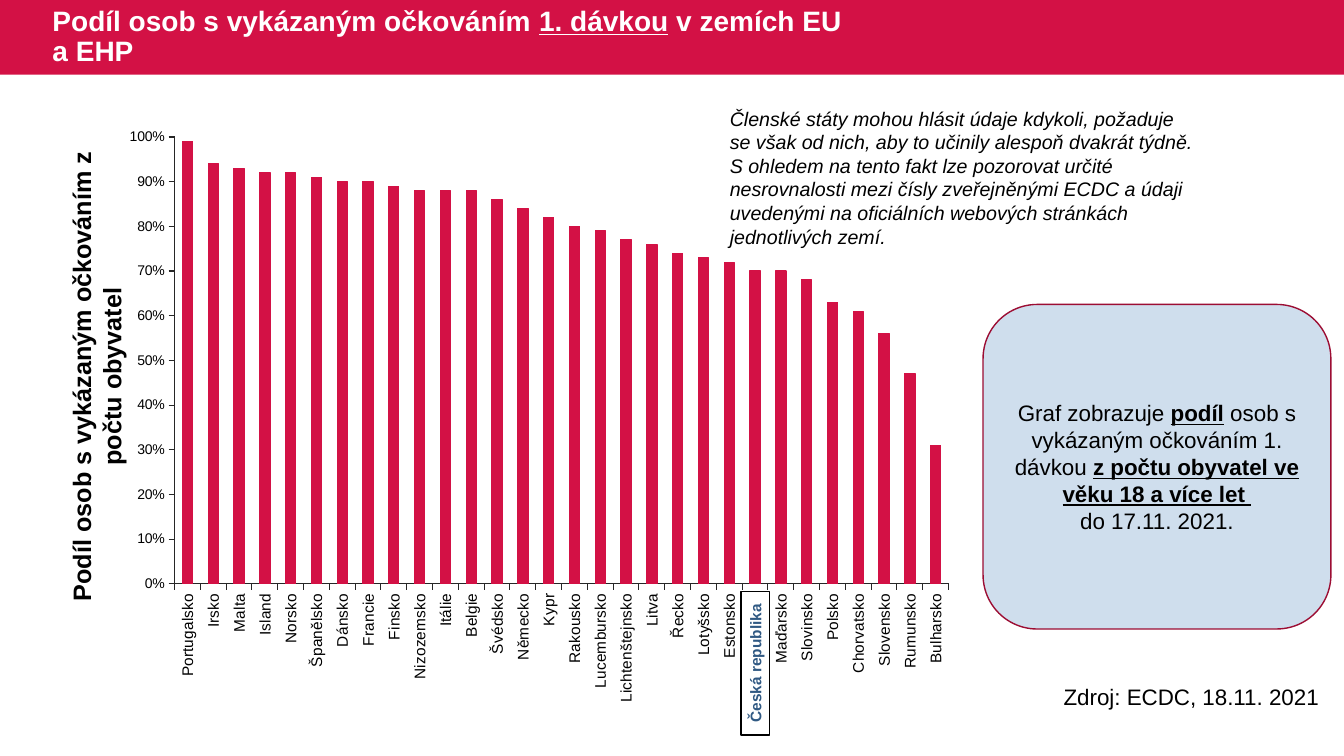
from lxml import etree
from pptx import Presentation
from pptx.chart.data import CategoryChartData
from pptx.dml.color import RGBColor
from pptx.enum.chart import XL_CHART_TYPE as ChartType, XL_TICK_MARK as Tick
from pptx.enum.shapes import MSO_SHAPE as Shape
from pptx.enum.text import MSO_ANCHOR as Anchor, MSO_AUTO_SIZE as AutoSize, PP_ALIGN as Align
from pptx.oxml.ns import qn
from pptx.util import Inches, Pt

# Content: paragraphs are lists of (text, emphasis), b = bold, u = underline
TITLE = [[("Podíl osob s vykázaným očkováním ", ""), ("1. dávkou", "u"),
          (" v zemích EU a EHP", "")]]
AXIS_TITLE = [[("Podíl osob s vykázaným očkováním z počtu obyvatel", "")]]
CALLOUT = [
    [("Graf zobrazuje ", ""), ("podíl", "bu"),
     (" osob s vykázaným očkováním 1. dávkou ", ""),
     ("z počtu obyvatel ve věku 18 a více let ", "bu")],
    [("do 17.11. 2021.", "")],
]
HIGHLIGHT = [[("Česká republika", "")]]
SOURCE = [[("Zdroj: ECDC, 18.11. 2021", "")]]
NOTE = [[(
    "Členské státy mohou hlásit údaje kdykoli, požaduje se však od nich, "
    "aby to učinily alespoň dvakrát týdně. S ohledem na tento fakt lze pozorovat "
    "určité nesrovnalosti mezi čísly zveřejněnými ECDC a údaji uvedenými na "
    "oficiálních webových stránkách jednotlivých zemí.", "")]]
SHARES = {
    "Portugalsko": 0.99, "Irsko": 0.94, "Malta": 0.93, "Island": 0.92,
    "Norsko": 0.92, "Španělsko": 0.91, "Dánsko": 0.9, "Francie": 0.9,
    "Finsko": 0.89, "Nizozemsko": 0.88, "Itálie": 0.88, "Belgie": 0.88,
    "Švédsko": 0.86, "Německo": 0.84, "Kypr": 0.82, "Rakousko": 0.8,
    "Lucembursko": 0.79, "Lichtenštejnsko": 0.77, "Litva": 0.76, "Řecko": 0.74,
    "Lotyšsko": 0.73, "Estonsko": 0.72, "Česká republika": 0.7, "Maďarsko": 0.7,
    "Slovinsko": 0.68, "Polsko": 0.63, "Chorvatsko": 0.61, "Slovensko": 0.56,
    "Rumunsko": 0.47, "Bulharsko": 0.31,
}
PLOT = {"x": 0.068, "y": 0.047, "w": 0.914, "h": 0.745}
COLORS = {"red": "D31145", "dark_red": "9C0D33", "pale_blue": "CFDEED",
          "blue": "305983", "axis": "262626", "black": "000000", "white": "FFFFFF"}
FONT = "Arial"


def color(name):
    return RGBColor.from_string(COLORS[name])


def style_font(font, size, name="black", bold=False, italic=False):
    font.name, font.size, font.bold, font.italic = FONT, Pt(size), bold, italic
    font.color.rgb = color(name)


def write(shape, paragraphs, size, name="black", bold=False, italic=False,
          align=Align.LEFT, anchor=Anchor.TOP, spacing=None):
    frame = shape.text_frame
    frame.word_wrap, frame.vertical_anchor = True, anchor
    for index, spans in enumerate(paragraphs):
        para = frame.add_paragraph() if index else frame.paragraphs[0]
        para.alignment, para.line_spacing = align, spacing
        style_font(para.font, size, name, bold, italic)
        for text, emphasis in spans:
            span = para.add_run()
            span.text = text
            if "b" in emphasis:
                span.font.bold = True
            if "u" in emphasis:
                span.font.underline = True


def add_box(page, kind, place, fill, line=None):
    box = page.shapes.add_shape(kind, *map(Inches, place))
    box.shadow.inherit = False
    box.fill.solid()
    box.fill.fore_color.rgb = color(fill)
    if line:
        box.line.color.rgb = color(line)
        box.line.width = Pt(1)
    else:
        box.line.fill.background()
    return box


def add_text(page, place, paragraphs, size, **style):
    box = page.shapes.add_textbox(*map(Inches, place))
    write(box, paragraphs, size, **style)
    return box


def add_share_chart(page, place):
    data = CategoryChartData(number_format="0%")
    data.categories = list(SHARES)
    data.add_series("Series 1", list(SHARES.values()))
    chart = page.shapes.add_chart(ChartType.COLUMN_CLUSTERED, *map(Inches, place), data).chart
    chart.has_legend = chart.has_title = False
    style_font(chart.font, 10)

    # Columns
    plot = chart.plots[0]
    plot.gap_width, plot.vary_by_categories = 150, False
    bars = plot.series[0].format
    bars.fill.solid()
    bars.fill.fore_color.rgb = bars.line.color.rgb = color("red")
    bars.line.width = Pt(0.75)

    # Axes
    for axis, size in ((chart.category_axis, 11), (chart.value_axis, 10)):
        axis.has_major_gridlines = False
        axis.major_tick_mark, axis.minor_tick_mark = Tick.OUTSIDE, Tick.NONE
        axis.format.line.color.rgb = color("axis")
        axis.format.line.width = Pt(0.75)
        style_font(axis.tick_labels.font, size)
    values = chart.value_axis
    values.minimum_scale, values.maximum_scale, values.major_unit = 0, 1, 0.1
    values.tick_labels.number_format = "0%"
    values.tick_labels.number_format_is_linked = False

    # Upright country names
    names = chart.category_axis._element.find(qn("c:txPr")).find(qn("a:bodyPr"))
    names.set("rot", "-5400000")
    names.set("vert", "horz")

    # Fixed inner plot area
    area = chart._chartSpace.chart.plotArea
    for old in area.findall(qn("c:layout")):
        area.remove(old)
    layout = etree.Element(qn("c:layout"))
    area.insert(0, layout)
    manual = etree.SubElement(layout, qn("c:manualLayout"))
    settings = [("layoutTarget", "inner"), ("xMode", "edge"), ("yMode", "edge")]
    for tag, value in settings + list(PLOT.items()):
        etree.SubElement(manual, qn(f"c:{tag}")).set("val", str(value))


def main():
    deck = Presentation()
    deck.slide_width, deck.slide_height = Inches(13.33), Inches(7.5)
    page = deck.slides.add_slide(deck.slide_layouts[5])

    # Header band with the title in front of it
    add_box(page, Shape.RECTANGLE, (0, 0, 13.33, 0.74), "red")
    title = page.shapes.title
    page.shapes._spTree.append(title._element)
    title.left, title.top, title.width, title.height = map(Inches, (0.42, 0, 8.16, 0.74))
    write(title, TITLE, 20, "white", bold=True, anchor=Anchor.MIDDLE, spacing=0.9)
    title.text_frame.auto_size = AutoSize.NONE

    # Chart with its axis title and the highlighted country
    axis_title = add_text(page, (-1.55, 3.38, 5.02, 0.71), AXIS_TITLE, 18,
                          bold=True, align=Align.CENTER)
    axis_title.rotation = 270
    add_share_chart(page, (1.16, 1.08, 8.4, 5.95))
    country = add_box(page, Shape.RECTANGLE, (6.78, 6.44, 1.42, 0.28), "white", "black")
    country.rotation = 270
    write(country, HIGHLIGHT, 11, "blue", bold=True, align=Align.CENTER, anchor=Anchor.MIDDLE)

    # Explanations
    callout = add_box(page, Shape.ROUNDED_RECTANGLE, (9.75, 3.02, 3.45, 3.22),
                      "pale_blue", "dark_red")
    write(callout, CALLOUT, 16, align=Align.CENTER, anchor=Anchor.MIDDLE)
    add_text(page, (10.45, 6.73, 2.88, 0.37), SOURCE, 16)
    add_text(page, (7.14, 1.01, 4.86, 1.51), NOTE, 14, italic=True)

    deck.save("out.pptx")


if __name__ == "__main__":
    main()
